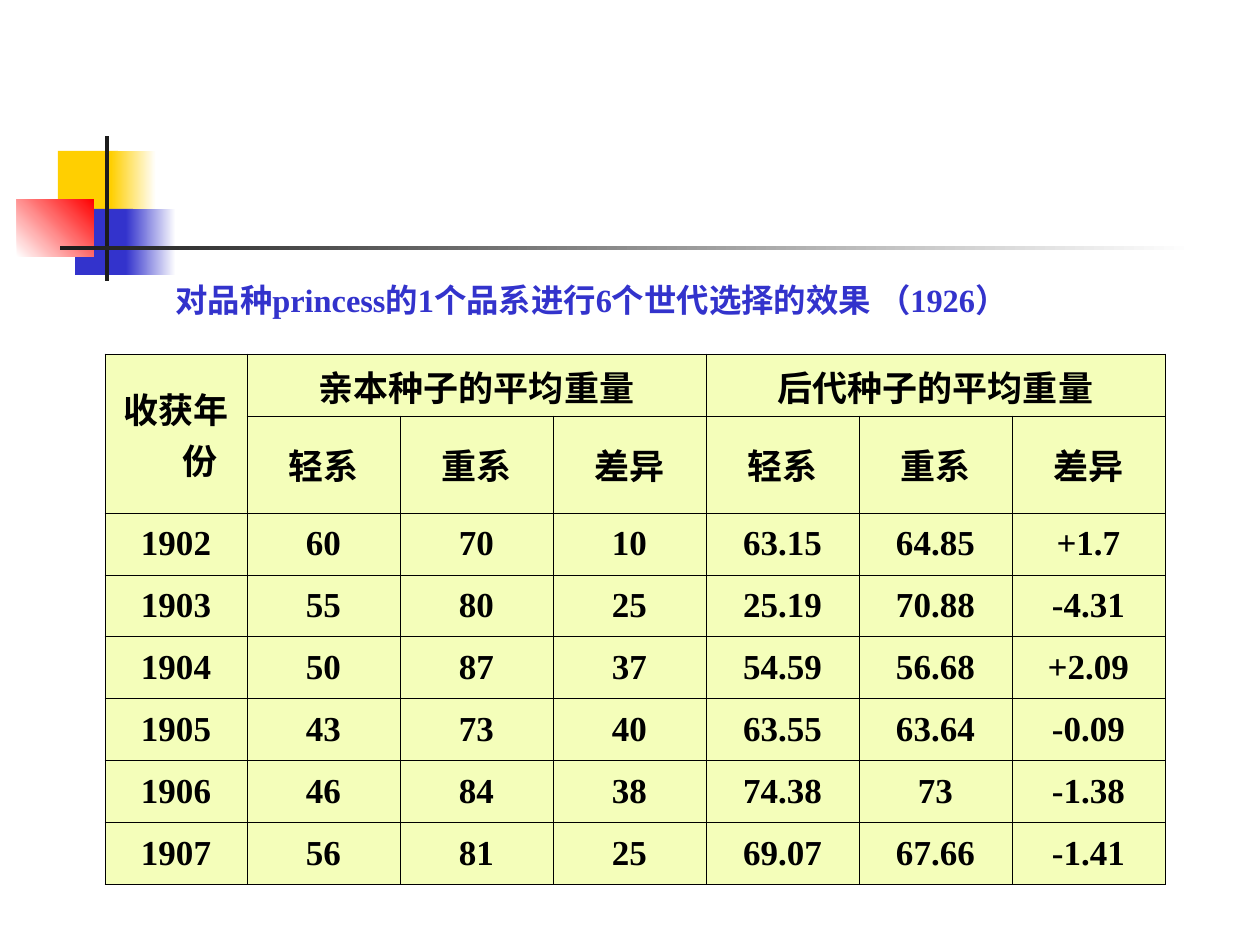
"""Build the slide on selection results in the princess bean line."""
from dataclasses import dataclass
from typing import Any, Optional

from lxml import etree
from pptx import Presentation
from pptx import util as u
from pptx.dml.color import RGBColor
from pptx.enum import shapes, text
from pptx.oxml.ns import qn

SCALE = 914400 / 126
YELLOW = RGBColor(0xFF, 0xCF, 0x01)
BLUE = RGBColor(0x33, 0x33, 0xCC)
RED = RGBColor(0xFF, 0x00, 0x00)
DARK = RGBColor(0x1C, 0x1C, 0x1C)
BLACK = RGBColor(0x00, 0x00, 0x00)
WHITE = RGBColor(0xFF, 0xFF, 0xFF)
CREAM = RGBColor(0xF4, 0xFE, 0xBA)

HANGING = 48
TITLE = "对品种princess的1个品系进行6个世代选择的效果 （1926）"
TITLE_FONT = {"name": "Times New Roman", "size": u.Pt(18.5), "bold": True}
CELL_FONT = {"name": "Times New Roman", "size": u.Pt(20), "bold": True}
COLUMN_WIDTHS = [142] + [153] * 6
ROW_HEIGHTS = [62, 97] + [62] * 6
MERGES = [((0, 0), (1, 0)), ((0, 1), (0, 3)), ((0, 4), (0, 6))]
ROWS = [
    ["收获年份", "亲本种子的平均重量", "", "", "后代种子的平均重量", "", ""],
    [""] + ["轻系", "重系", "差异"] * 2,
    ["1902", "60", "70", "10", "63.15", "64.85", "+1.7"],
    ["1903", "55", "80", "25", "25.19", "70.88", "-4.31"],
    ["1904", "50", "87", "37", "54.59", "56.68", "+2.09"],
    ["1905", "43", "73", "40", "63.55", "63.64", "-0.09"],
    ["1906", "46", "84", "38", "74.38", "73", "-1.38"],
    ["1907", "56", "81", "25", "69.07", "67.66", "-1.41"],
]


@dataclass(frozen=True)
class Block:
    """A decorative rectangle, plain or fading from start to end."""

    left: int
    top: int
    width: int
    height: int
    start: RGBColor
    end: Optional[RGBColor] = None
    angle: int = 0


BLOCKS = [
    Block(58, 151, 60, 66, YELLOW),
    Block(111, 151, 45, 66, YELLOW, WHITE),
    Block(75, 209, 58, 66, BLUE),
    Block(126, 209, 50, 66, BLUE, WHITE),
    Block(17, 199, 77, 58, WHITE, RED, 45),
    Block(105, 136, 4, 145, DARK),
    Block(60, 246, 1134, 4, DARK, WHITE),
]


def px(length: int) -> u.Emu:
    """Turn pixels into EMU."""
    return u.Emu(round(length * SCALE))


def apply(target: Any, values: dict) -> None:
    """Set each named attribute on the target."""
    for name, value in values.items():
        setattr(target, name, value)


def write(para: Any, words: str, font: dict, color: RGBColor) -> None:
    """Write one hanging paragraph in the given font."""
    props = para._p.get_or_add_pPr()
    props.set("marL", str(px(HANGING)))
    props.set("indent", str(-px(HANGING)))
    span = para.add_run()
    span.text = words
    apply(span.font, font)
    span.font.color.rgb = color


def draw_block(page: Any, block: Block) -> None:
    """Draw one decorative rectangle."""
    shape = page.shapes.add_shape(
        shapes.MSO_SHAPE.RECTANGLE,
        px(block.left), px(block.top), px(block.width), px(block.height),
    )
    shape.shadow.inherit = False
    shape.line.fill.background()
    if block.end is None:
        shape.fill.solid()
        shape.fill.fore_color.rgb = block.start
        return
    shape.fill.gradient()
    shape.fill.gradient_angle = block.angle
    for stop, color in zip(shape.fill.gradient_stops, (block.start, block.end)):
        stop.color.rgb = color


def draw_title(page: Any) -> None:
    """Draw the heading above the table."""
    box = page.shapes.add_textbox(px(163), px(278), px(944), px(55))
    box.text_frame.word_wrap = True
    para = box.text_frame.paragraphs[0]
    para.line_spacing = 0.9
    write(para, TITLE, TITLE_FONT, BLUE)


def add_borders(cell: Any) -> None:
    """Give a cell a thin black line on every side."""
    props = cell._tc.get_or_add_tcPr()
    for side in ("a:lnL", "a:lnR", "a:lnT", "a:lnB"):
        line = etree.SubElement(props, qn(side), w=str(u.Pt(0.45)))
        fill = etree.SubElement(line, qn("a:solidFill"))
        etree.SubElement(fill, qn("a:srgbClr"), val=str(BLACK))


def draw_table(page: Any) -> None:
    """Draw the table of seed weights by harvest year."""
    table = page.shapes.add_table(
        len(ROWS), len(COLUMN_WIDTHS), px(105), px(354),
        px(sum(COLUMN_WIDTHS)), px(sum(ROW_HEIGHTS)),
    ).table
    apply(table, {"first_row": False, "horz_banding": False})
    for column, width in zip(table.columns, COLUMN_WIDTHS):
        column.width = px(width)
    for row, height in zip(table.rows, ROW_HEIGHTS):
        row.height = px(height)
    for first, last in MERGES:
        table.cell(*first).merge(table.cell(*last))
    for row, values in zip(table.rows, ROWS):
        for cell, value in zip(row.cells, values):
            add_borders(cell)
            cell.fill.solid()
            cell.fill.fore_color.rgb = CREAM
            cell.vertical_anchor = text.MSO_ANCHOR.MIDDLE
            if value:
                para = cell.text_frame.paragraphs[0]
                para.alignment = text.PP_ALIGN.CENTER
                write(para, value, CELL_FONT, BLACK)


def main() -> None:
    """Build and save the deck."""
    deck = Presentation()
    apply(deck, {"slide_width": px(1260), "slide_height": px(945)})
    page = deck.slides.add_slide(deck.slide_layouts[6])
    for block in BLOCKS:
        draw_block(page, block)
    draw_title(page)
    draw_table(page)
    deck.save("out.pptx")


if __name__ == "__main__":
    main()
